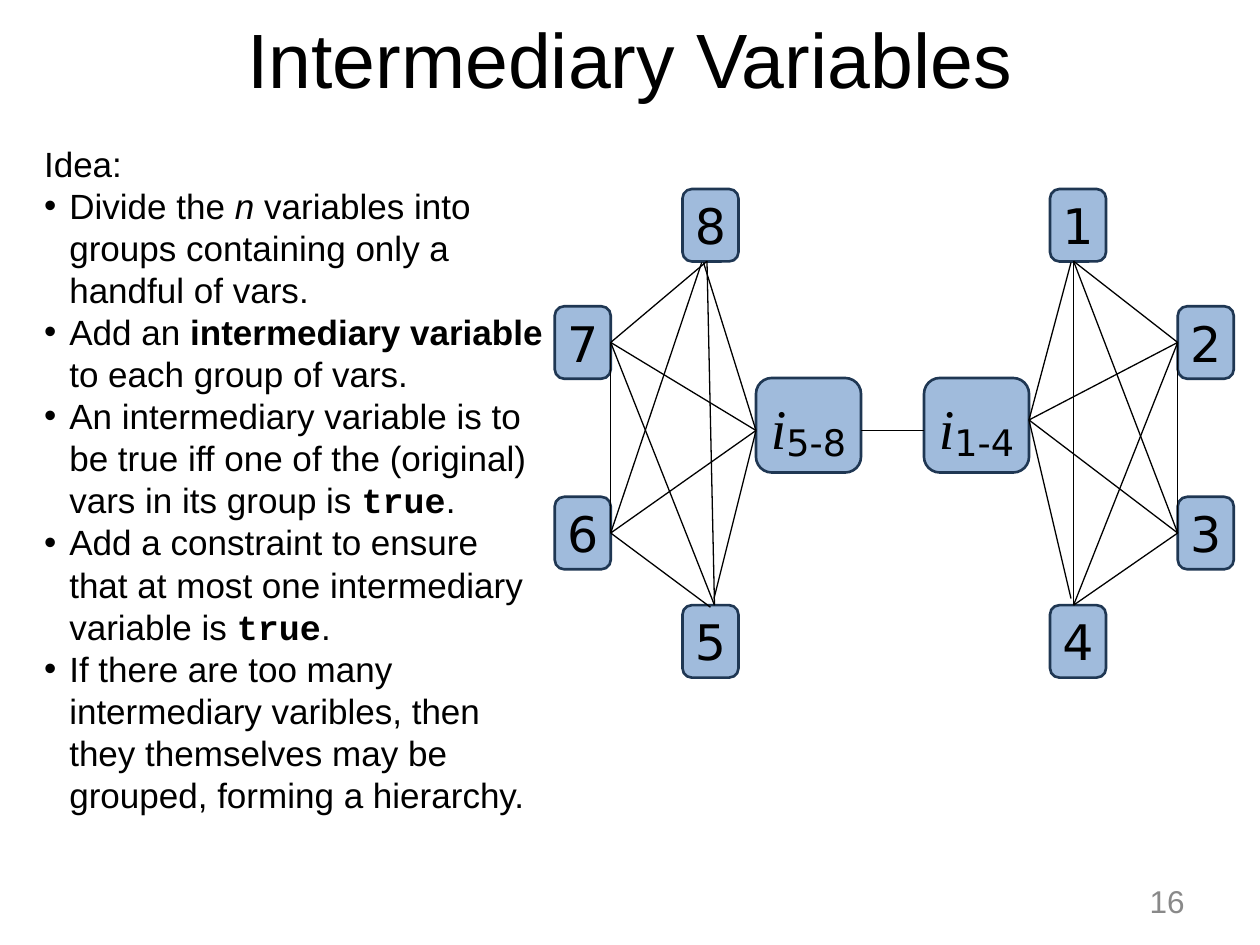
from dataclasses import dataclass
from typing import Union

from lxml import etree
from pptx import Presentation
from pptx.dml.color import RGBColor
from pptx.enum.shapes import MSO_CONNECTOR, MSO_SHAPE
from pptx.enum.text import MSO_ANCHOR, MSO_AUTO_SIZE, PP_ALIGN
from pptx.oxml.ns import qn
from pptx.util import Pt

ROUNDED, STRAIGHT = MSO_SHAPE.ROUNDED_RECTANGLE, MSO_CONNECTOR.STRAIGHT
MIDDLE, NO_FIT = MSO_ANCHOR.MIDDLE, MSO_AUTO_SIZE.NONE
LEFT, CENTER, RIGHT = PP_ALIGN.LEFT, PP_ALIGN.CENTER, PP_ALIGN.RIGHT
LEFT_SIDE, RIGHT_SIDE = 1, 3
COLORS = {"ink": "000000", "node": "A0BBDC", "outline": "1F3753", "number": "898989"}
SANS, MONO, SERIF, LABEL = "Arial", "Courier New", "Times New Roman", "DejaVu Sans"


@dataclass(frozen=True)
class Span:
    text: str
    size: float = 20
    font: str = SANS
    bold: bool = False
    italic: bool = False
    color: str = "ink"
    baseline: int = 0


@dataclass(frozen=True)
class Node:
    left: float
    top: float
    width: float
    height: float
    spans: tuple


@dataclass(frozen=True)
class Point:
    x: float
    y: float


End = Union[str, Point]


@dataclass(frozen=True)
class Edge:
    begin: End
    end: End


def variable(name: str, left: float, top: float) -> Node:
    return Node(left, top, 32, 41.4, (Span(name, 28, LABEL),))


def intermediary(group: str, left: float) -> Node:
    return Node(left, 216, 60, 54, (Span("i", 32, SERIF, italic=True),
                                    Span(group, 36, LABEL, baseline=-12000)))


VARIABLES = {
    "7": (317, 175), "8": (390, 108), "5": (390, 345.8), "6": (317, 283.9),
    "2": (673, 175), "1": (600, 108), "4": (600, 345.8), "3": (673, 283.9),
}
GROUPS = {"5-8": 432, "1-4": 528}
INNER_SIDE = {"7": RIGHT_SIDE, "6": RIGHT_SIDE, "2": LEFT_SIDE, "3": LEFT_SIDE}

BELOW_1, ABOVE_4 = Point(613.5, 149.3), Point(613.5, 345.8)
BELOW_8, ABOVE_5 = Point(404, 149.3), Point(408.3, 345.8)
GROUP_5_8, GROUP_1_4 = Point(432, 246), Point(588, 240)

EDGES = [
    Edge(BELOW_1, ABOVE_4), Edge(BELOW_1, "2"), Edge(BELOW_1, "3"),
    Edge("2", "3"), Edge("2", ABOVE_4), Edge("3", ABOVE_4),
    Edge(Point(406, 347), "6"), Edge("6", "7"), Edge("7", BELOW_8),
    Edge(ABOVE_5, "7"), Edge(ABOVE_5, BELOW_8), Edge(Point(401, 150), "6"),
    Edge(Point(408, 342), GROUP_5_8), Edge("6", GROUP_5_8),
    Edge("7", GROUP_5_8), Edge(Point(402, 150), GROUP_5_8),
    Edge(Point(612, 150), GROUP_1_4), Edge("2", GROUP_1_4),
    Edge("3", GROUP_1_4), Edge(Point(612, 342), GROUP_1_4),
    Edge(Point(492, 246), Point(528, 246)),
]

TRUE = Span("true", font=MONO, bold=True)
IDEAS = [
    (Span("Divide the "), Span("n", italic=True),
     Span(" variables into groups containing only a handful of vars.")),
    (Span("Add an "), Span("intermediary variable", bold=True),
     Span(" to each group of vars.")),
    (Span("An intermediary variable is to be true iff one of the (original) "
          "vars in its group is "), TRUE, Span(".")),
    (Span("Add a constraint to ensure that at most one intermediary variable is "),
     TRUE, Span(".")),
    (Span("If there are too many intermediary varibles, then they themselves "
          "may be grouped, forming a hierarchy."),),
]


def rgb(name: str) -> RGBColor:
    return RGBColor.from_string(COLORS[name])


def place(shape, left: float, top: float, width: float, height: float) -> None:
    shape.left, shape.top = Pt(left), Pt(top)
    shape.width, shape.height = Pt(width), Pt(height)


def write(paragraph, spans: tuple, alignment) -> None:
    paragraph.alignment = alignment
    for span in spans:
        run = paragraph.add_run()
        run.text = span.text
        run.font.name, run.font.size = span.font, Pt(span.size)
        run.font.bold, run.font.italic = span.bold, span.italic
        run.font.color.rgb = rgb(span.color)
        if span.baseline:
            run._r.get_or_add_rPr().set("baseline", str(span.baseline))


def set_bullet(paragraph, bulleted: bool) -> None:
    properties = paragraph._p.get_or_add_pPr()
    properties.set("marL", str(Pt(14.4)))
    properties.set("indent", str(-Pt(14.4)))
    if bulleted:
        etree.SubElement(properties, qn("a:buFont")).set("typeface", SANS)
        etree.SubElement(properties, qn("a:buChar")).set("char", "•")
    else:
        etree.SubElement(properties, qn("a:buNone"))


def write_ideas(body) -> None:
    place(body, 18, 78, 300, 415.4)
    frame = body.text_frame
    frame.auto_size = NO_FIT
    for index, spans in enumerate([(Span("Idea:"),), *IDEAS]):
        paragraph = frame.add_paragraph() if index else frame.paragraphs[0]
        paragraph.space_before = Pt(0)
        paragraph.line_spacing = Pt(24)
        set_bullet(paragraph, index > 0)
        write(paragraph, spans, LEFT)


def draw_node(slide, node: Node):
    box = slide.shapes.add_shape(ROUNDED, Pt(node.left), Pt(node.top),
                                 Pt(node.width), Pt(node.height))
    box.shadow.inherit = False
    box.fill.solid()
    box.fill.fore_color.rgb = rgb("node")
    box.line.color.rgb = rgb("outline")
    box.line.width = Pt(1.5)
    box.text_frame.word_wrap = False
    box.text_frame.vertical_anchor = MIDDLE
    write(box.text_frame.paragraphs[0], node.spans, CENTER)
    return box


def draw_edge(slide, edge: Edge, boxes: dict) -> None:
    begin, end = (Point(0, 0) if isinstance(stop, str) else stop
                  for stop in (edge.begin, edge.end))
    link = slide.shapes.add_connector(STRAIGHT, Pt(begin.x), Pt(begin.y),
                                      Pt(end.x), Pt(end.y))
    for stop, connect in ((edge.begin, link.begin_connect),
                          (edge.end, link.end_connect)):
        if isinstance(stop, str):
            connect(boxes[stop], INNER_SIDE[stop])
    link.line.color.rgb = rgb("ink")
    link.line.width = Pt(0.75)
    etree.SubElement(link._element.spPr, qn("a:effectLst"))


def main() -> None:
    deck = Presentation()
    deck.slide_width, deck.slide_height = Pt(720), Pt(540)
    slide = deck.slides.add_slide(deck.slide_layouts[1])

    title = slide.shapes.title
    place(title, 36, 0, 648, 66)
    title.text_frame.auto_size = NO_FIT
    title.text_frame.vertical_anchor = MIDDLE
    write(title.text_frame.paragraphs[0], (Span("Intermediary Variables", 44),), CENTER)
    write_ideas(slide.placeholders[1])

    boxes = {name: draw_node(slide, variable(name, *corner))
             for name, corner in VARIABLES.items()}
    for group, left in GROUPS.items():
        draw_node(slide, intermediary(group, left))
    for edge in EDGES:
        draw_edge(slide, edge, boxes)

    page = slide.shapes.add_textbox(Pt(516), Pt(500.5), Pt(168), Pt(28.8))
    page.text_frame.word_wrap = True
    page.text_frame.vertical_anchor = MIDDLE
    write(page.text_frame.paragraphs[0], (Span("16", 18, color="number"),), RIGHT)
    deck.save("out.pptx")


if __name__ == "__main__":
    main()
